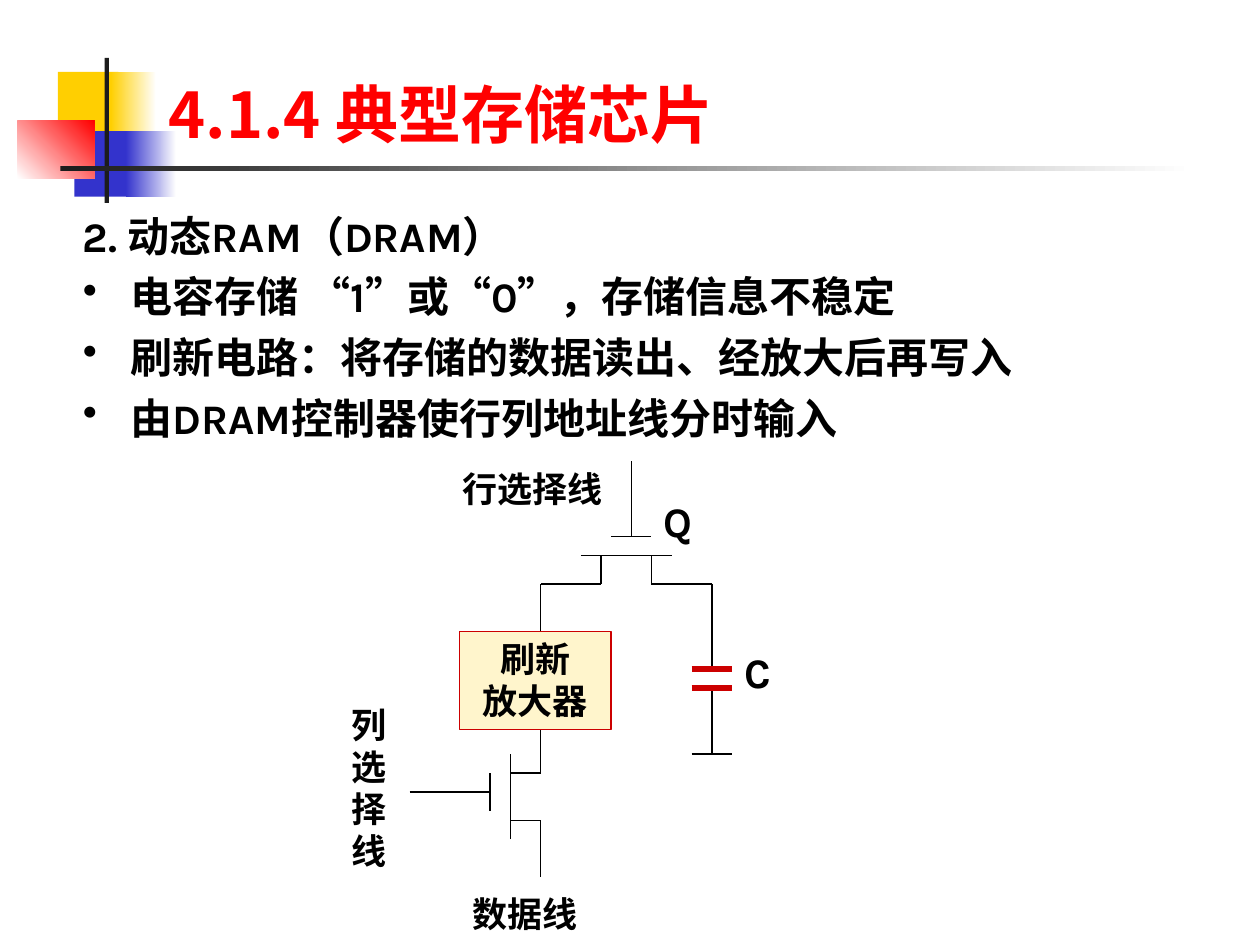
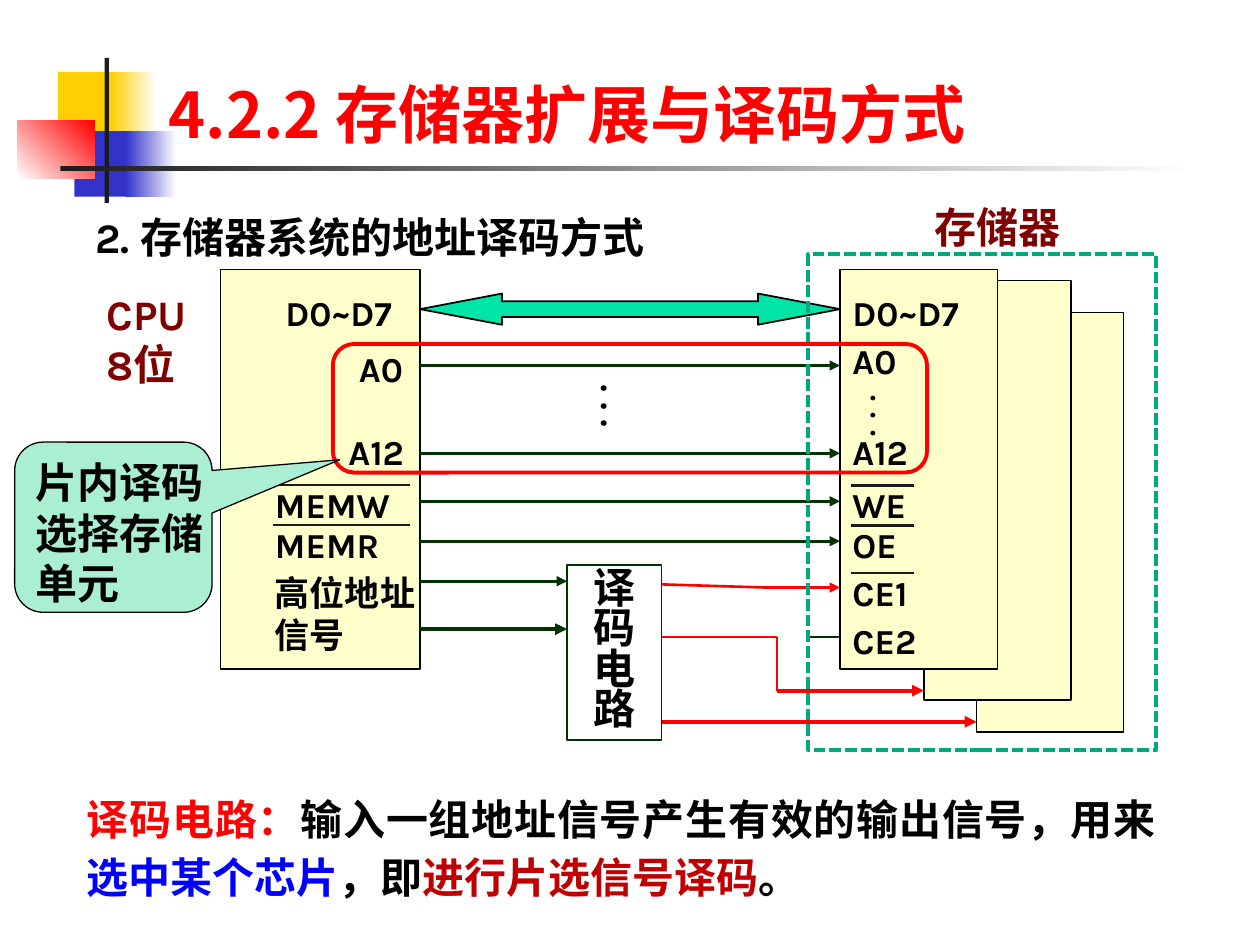
from dataclasses import dataclass
import lxml.etree
import pptx
import pptx.dml.color
import pptx.enum.dml
import pptx.enum.shapes
import pptx.enum.text
import pptx.oxml.ns
import pptx.util

RGB = pptx.dml.color.RGBColor
FORM = pptx.enum.shapes.MSO_SHAPE
ALIGN = pptx.enum.text.PP_ALIGN
ANCHOR = pptx.enum.text.MSO_ANCHOR
Pt = pptx.util.Pt

BLACK = RGB(0x00, 0x00, 0x00)
WHITE = RGB(0xFF, 0xFF, 0xFF)
INK = RGB(0x1C, 0x1C, 0x1C)
RED = RGB(0xFF, 0x00, 0x00)
GOLD = RGB(0xFF, 0xCF, 0x01)
INDIGO = RGB(0x33, 0x33, 0xCC)
BLUE = RGB(0x00, 0x00, 0xFF)
CRIMSON = RGB(0xCC, 0x00, 0x00)
BRICK = RGB(0xC0, 0x00, 0x00)
MAROON = RGB(0x80, 0x00, 0x00)
GREEN = RGB(0x00, 0x33, 0x00)
TEAL = RGB(0x00, 0xA9, 0x7C)
MINT = RGB(0xAA, 0xEF, 0xD1)
JADE = RGB(0x00, 0xE4, 0xA8)
CREAM = RGB(0xFF, 0xF5, 0xCC)
PALE = RGB(0xFF, 0xFF, 0xCC)
BODY = "Karla"
TITLE = "Noto Sans CJK JP"


@dataclass
class Grid:
    """A box on a slide, in inches, cut into columns and rows."""
    slide: object
    left: float
    top: float
    width: float
    height: float
    cols: float
    rows: float

    def spot(self, col, row):
        """Return the position of a grid point."""
        return (pptx.util.Inches(self.left + col * self.width / self.cols),
                pptx.util.Inches(self.top + row * self.height / self.rows))

    def rect(self, col, row, wide, high):
        """Return left, top, width and height of a grid area."""
        x, y = self.spot(col, row)
        right, base = self.spot(col + wide, row + high)
        return x, y, right - x, base - y


def tag(parent, name, **attrs):
    """Add a drawing element to a parent element."""
    return lxml.etree.SubElement(parent, pptx.oxml.ns.qn("a:" + name), attrs)


def style(part, size, color=BLACK, face=BODY, align=ALIGN.LEFT, gap=None):
    """Set the look of one paragraph."""
    part.alignment = align
    if gap:
        part.line_spacing = gap
    font = part.font
    font.size, font.name, font.bold = Pt(size), face, True
    font.color.rgb = color


def write(shape, text, size, wrap=True, anchor=ANCHOR.TOP, **look):
    """Fill a shape with one paragraph for each line of text."""
    frame = shape.text_frame
    frame.word_wrap, frame.vertical_anchor = wrap, anchor
    for i, line in enumerate(text.split("\n")):
        part = frame.add_paragraph() if i else frame.paragraphs[0]
        part.text = line
        style(part, size, **look)


def label(grid, area, text, size=20, **look):
    """Add a text box on the grid."""
    box = grid.slide.shapes.add_textbox(*grid.rect(*area))
    write(box, text, size, **look)
    return box


def block(grid, area, fill=None, edge=None, width=1, form=FORM.RECTANGLE):
    """Add a preset shape with a plain fill and edge."""
    shape = grid.slide.shapes.add_shape(form, *grid.rect(*area))
    shape.shadow.inherit = False
    if fill is None:
        shape.fill.background()
    else:
        shape.fill.solid()
        shape.fill.fore_color.rgb = fill
    if edge is None:
        shape.line.fill.background()
    else:
        shape.line.color.rgb = edge
        shape.line.width = Pt(width)
    return shape


def fade(grid, area, first, last, angle=0):
    """Add a rectangle that blends two colours."""
    fill = block(grid, area).fill
    fill.gradient()
    fill.gradient_angle = angle
    for stop, color in zip(fill.gradient_stops, (first, last)):
        stop.color.rgb = color


def wire(grid, start, end, color=BLACK, width=0.75, arrow=False):
    """Add a straight line between two grid points."""
    kind = pptx.enum.shapes.MSO_CONNECTOR.STRAIGHT
    line = grid.slide.shapes.add_connector(
        kind, *grid.spot(*start), *grid.spot(*end))
    line.line.color.rgb = color
    line.line.width = Pt(width)
    if arrow:
        tag(line.line._get_or_add_ln(), "tailEnd", type="triangle")
    tag(line._element.spPr, "effectLst")


def header(grid, text):
    """Draw the coloured squares, the rules and the title."""
    block(grid, (4.6, 5.7, 4.8, 5.2), GOLD)
    fade(grid, (8.8, 5.7, 3.6, 5.2), GOLD, WHITE)
    block(grid, (5.9, 10.4, 4.6, 5.2), INDIGO)
    fade(grid, (10, 10.4, 4, 5.2), INDIGO, WHITE)
    fade(grid, (1.4, 9.6, 6.1, 4.6), WHITE, RED, 45)
    block(grid, (8.3, 4.6, 0.35, 11.5), INK)
    fade(grid, (4.8, 13.2, 90, 0.35), INK, WHITE)
    label(grid, (12.4, 5.5, 75, 7.9), text, 36, color=RED, face=TITLE)


def points(grid, lead, items):
    """Place a lead line and the bullets under it."""
    label(grid, (0, 0, 67.5, 5), lead, 24)
    frame = grid.slide.shapes.add_textbox(
        *grid.rect(0, 4.8, 95.2, 20.2)).text_frame
    frame.word_wrap = True
    for i, item in enumerate(items):
        part = frame.add_paragraph() if i else frame.paragraphs[0]
        part.text = item
        if i:
            part.space_before = Pt(6)
        props = part._p.get_or_add_pPr()
        indent = pptx.util.Inches(0.38)
        props.set("marL", str(indent))
        props.set("indent", str(-indent))
        tag(props, "buChar", char="•")
        style(part, 24)


def circuit(grid):
    """Draw the storage cell with its amplifier and switches."""
    for area, text, size in (
            ((11, 0, 32, 5.7), "行选择线", 20), ((0, 25, 8, 19), "列选择线", 20),
            ((12, 45, 17, 5.7), "数据线", 20), ((31, 3, 10, 7.6), "Q", 24),
            ((39, 19, 10, 7.6), "C", 24)):
        label(grid, area, text, size)
    routes = (
        [(29, 0), (29, 8)], [(27, 8), (31, 8)], [(24, 10), (33, 10)],
        [(26, 10), (26, 13), (20, 13), (20, 18)],
        [(31, 10), (31, 13), (37, 13), (37, 22)],
        [(37, 24), (37, 31)], [(35, 31), (39, 31)],
        [(7, 35), (15, 35)], [(15, 37), (15, 33)], [(17, 40), (17, 31)],
        [(17, 38), (20, 38), (20, 44)], [(17, 33), (20, 33), (20, 27)])
    for route in routes:
        for start, end in zip(route, route[1:]):
            wire(grid, start, end)
    for row in (22, 24):
        wire(grid, (35, row), (39, row), CRIMSON, 3)
    box = block(grid, (12, 18, 15, 10.4), CREAM, CRIMSON, 0.75)
    write(box, "刷新\n放大器", 20, align=ALIGN.CENTER)


def pins(grid, names):
    """Label the pins of a chip at their columns and rows."""
    for col, row, wide, text in names:
        label(grid, (col, row, wide, 6.8), text)


def bars(grid, left, right, rows, width):
    """Draw the lines above active-low pin names."""
    for row in rows:
        wire(grid, (left, row), (right, row), INK, width)


def memory(grid):
    """Draw the stacked memory chips and their pins."""
    for area in ((93, 5.4, 14, 52.5), (88, 1.4, 14, 52.5)):
        block(grid, area, PALE, BLACK, 0.75)
    block(grid, (80, 0, 15, 50), PALE, BLACK)
    rows = (2, 8, 19.4, 26, 31, 37, 43)
    names = ("D0~D7", "A0", "A12", "WE", "OE", "CE1", "CE2")
    pins(grid, [(80, row, 14, name) for row, name in zip(rows, names)])
    bars(grid, 81, 87, (27, 32, 38), 1.5)
    label(grid, (78, -10.6, 34, 9.1), "存储器", 24, color=MAROON,
          align=ALIGN.CENTER, anchor=ANCHOR.BOTTOM)


def cpu(grid):
    """Draw the processor and its pins."""
    block(grid, (21, 0, 19, 50), PALE, BLACK)
    pins(grid, ((26, 2, 18, "D0~D7"), (33, 9, 9, "A0"), (32, 19.4, 9, "A12"),
                (25, 26, 17, "MEMW"), (25, 31, 17, "MEMR"),
                (25, 37, 17, "高位地址信号")))
    bars(grid, 26, 39, (27, 32), 1)
    label(grid, (9, 6.6, 19, 9.1), "CPU\n8位", 24, color=MAROON,
          anchor=ANCHOR.BOTTOM)


def buses(grid):
    """Draw the decoder and the lines from processor to memory."""
    data = block(grid, (40, 3, 40, 3.9), JADE, BLACK,
                 form=FORM.LEFT_RIGHT_ARROW)
    data.adjustments[0], data.adjustments[1] = 0.5, 2.63
    box = block(grid, (54, 37, 9, 21.9), None, GREEN)
    write(box, "译\n码\n电\n路", 24, align=ALIGN.CENTER, gap=0.8)
    for row in (12, 23, 29, 34):
        wire(grid, (40, row), (80, row), GREEN, 1.5, True)
    for row, width in ((39, 1.5), (45, 2.25)):
        wire(grid, (40, row), (54, row), GREEN, width, True)
    wire(grid, (77, 46), (80, 46), GREEN, 1.5)
    for start, end, width, arrow in (
            ((63, 39.4), (73, 39.8), 1.5, False),
            ((73, 39.8), (80, 39.8), 1.5, True),
            ((63, 46), (74, 46), 1.5, False),
            ((74, 46), (74, 52.7), 1.5, False),
            ((74, 52.7), (88, 52.7), 2.25, True),
            ((63, 56.6), (93, 56.6), 2.25, True)):
        wire(grid, start, end, RED, width, arrow)
    for col, row, size in ((56, 13.2, 12), (81.7, 14.2, 10)):
        label(grid, (col, row, 8, 8.2), "•\n•\n•", size, gap=Pt(10))


def marks(grid):
    """Frame the memory and the address lines, and add the callout."""
    frame = block(grid, (77, -1.9, 33.1, 62.1), None, TEAL, 2.25)
    frame.line.dash_style = pptx.enum.dml.MSO_LINE.SQUARE_DOT
    block(grid, (31.7, 9.3, 56.6, 16.1), None, RED, 2.25,
          FORM.ROUNDED_RECTANGLE)
    note = block(grid, (1.4, 21.6, 18.8, 21.3), MINT, BLACK, 0.75,
                 FORM.ROUNDED_RECTANGULAR_CALLOUT)
    for i, share in enumerate((1.146, -0.396, 0.167)):
        note.adjustments[i] = share
    write(note, "片内译码\n选择存储\n单元", 24, wrap=False)


def summary(grid, pieces):
    """Write a closing paragraph of coloured pieces."""
    box = label(grid, (0, 0, 1, 1), "", 24, align=ALIGN.JUSTIFY, gap=1.15)
    for text, color in pieces:
        run = box.text_frame.paragraphs[0].add_run()
        run.text = text
        run.font.color.rgb = color


def page(deck, title):
    """Add a blank slide with the shared header."""
    slide = deck.slides.add_slide(deck.slide_layouts[6])
    header(Grid(slide, 0, 0, 10, 7.5, 100, 75), title)
    return slide


def main():
    """Build both slides and save them."""
    deck = pptx.Presentation()
    deck.slide_width = pptx.util.Inches(10)
    deck.slide_height = pptx.util.Inches(7.5)

    slide = page(deck, "4.1.4 典型存储芯片")
    points(Grid(slide, 0.56, 1.62, 10, 7.5, 100, 75), "2. 动态RAM（DRAM）", (
        "电容存储 “1”或“0”，存储信息不稳定",
        "刷新电路：将存储的数据读出、经放大后再写入",
        "由DRAM控制器使行列地址线分时输入"))
    circuit(Grid(slide, 2.69, 3.66, 4, 3.75, 50, 50))

    slide = page(deck, "4.2.2 存储器扩展与译码方式")
    label(Grid(slide, 0.66, 1.63, 6.25, 0.5, 1, 1), (0, 0, 1, 1),
          "2. 存储器系统的地址译码方式", 24)
    plan = Grid(slide, 0, 2.14, 10, 3.17, 120, 50)
    for draw in (memory, cpu, buses, marks):
        draw(plan)
    summary(Grid(slide, 0.59, 6.19, 8.68, 1, 1, 1), (
        ("译码电路：", RED), ("输入一组地址信号产生有效的输出信号，用来", BLACK),
        ("选中某个芯片", BLUE), ("，即", BLACK),
        ("进行片选信号译码", BRICK), ("。", BLACK)))
    deck.save("out.pptx")


if __name__ == "__main__":
    main()
